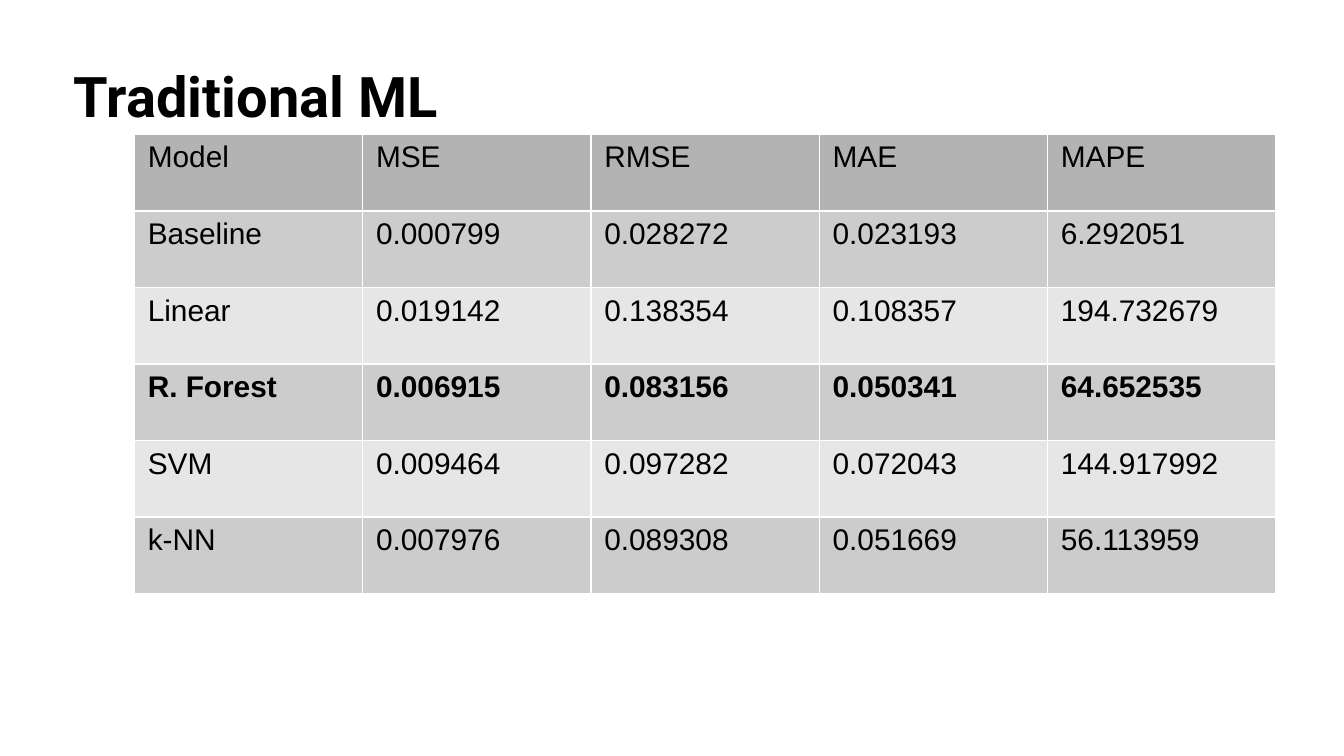
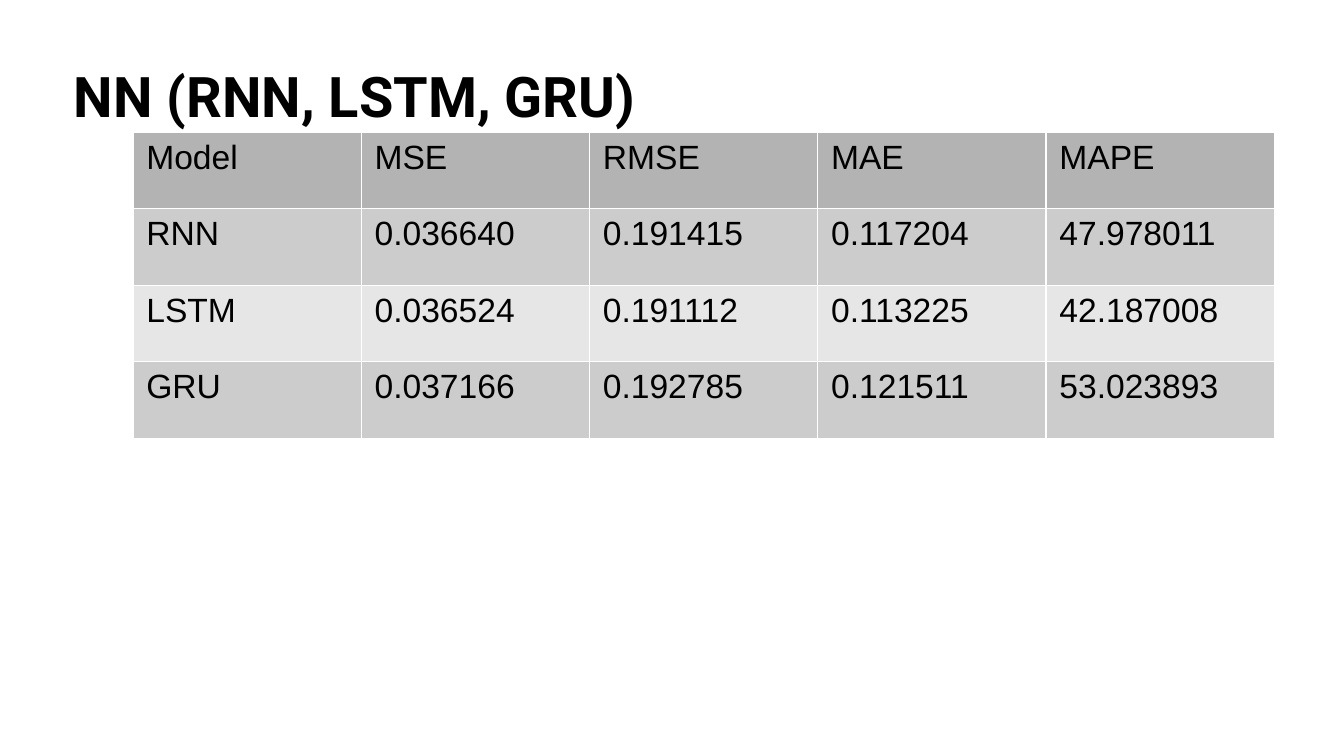
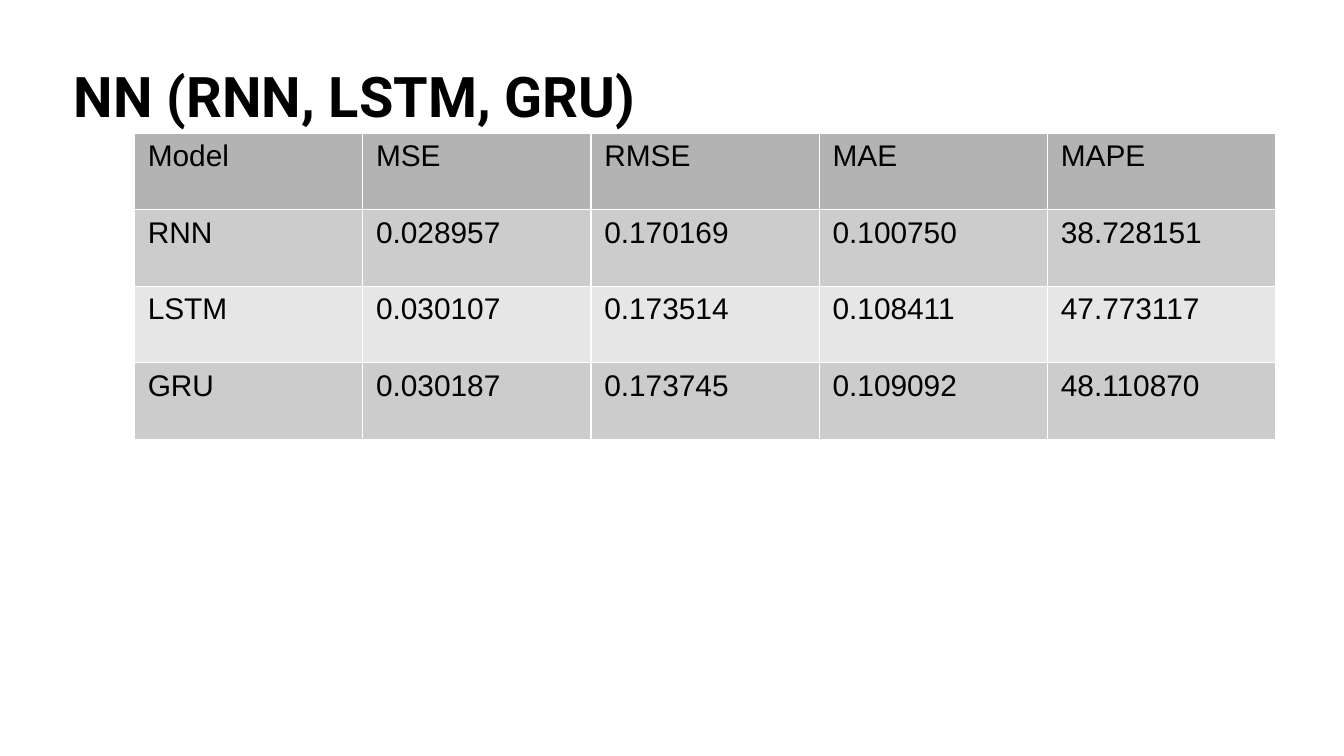
"""Build three slides of model error tables."""
from pptx import Presentation
from pptx.dml.color import RGBColor
from pptx.enum.text import MSO_ANCHOR
from pptx.oxml import parse_xml
from pptx.oxml.ns import nsdecls
from pptx.util import Pt

TOP = MSO_ANCHOR.TOP
BLACK, WHITE = "000000", "FFFFFF"
HEAD, BANDS = "B3B3B3", ("CCCCCC", "E6E6E6")
COL, ROW, EDGE = 122.3, 41, 0.75
BEST = "R. Forest"
FIELDS = ("Model", "MSE", "RMSE", "MAE", "MAPE")

SLIDES = [
    {"title": "Traditional ML", "left": 72, "top": 72, "size": 16, "rows": [
        ("Baseline", "0.000799", "0.028272", "0.023193", "6.292051"),
        ("Linear", "0.019142", "0.138354", "0.108357", "194.732679"),
        ("R. Forest", "0.006915", "0.083156", "0.050341", "64.652535"),
        ("SVM", "0.009464", "0.097282", "0.072043", "144.917992"),
        ("k-NN", "0.007976", "0.089308", "0.051669", "56.113959"),
    ]},
    {"title": "NN (RNN, LSTM, GRU)", "left": 71.2, "top": 70.8, "size": 18, "rows": [
        ("RNN", "0.036640", "0.191415", "0.117204", "47.978011"),
        ("LSTM", "0.036524", "0.191112", "0.113225", "42.187008"),
        ("GRU", "0.037166", "0.192785", "0.121511", "53.023893"),
    ]},
    {"title": "NN (RNN, LSTM, GRU)", "left": 72, "top": 71.4, "size": 16, "rows": [
        ("RNN", "0.028957", "0.170169", "0.100750", "38.728151"),
        ("LSTM", "0.030107", "0.173514", "0.108411", "47.773117"),
        ("GRU", "0.030187", "0.173745", "0.109092", "48.110870"),
    ]},
]


def color(code):
    return RGBColor.from_string(code)


def write(frame, text, face, size, bold):
    frame.text = text
    font = frame.paragraphs[0].runs[0].font
    font.name, font.size, font.bold = face, Pt(size), bold
    font.color.rgb = color(BLACK)


def add_title(slide, text):
    box = slide.shapes.add_textbox(Pt(39.6), Pt(25.9), Pt(671), Pt(86.4))
    frame = box.text_frame
    frame.word_wrap = True
    frame.vertical_anchor = TOP
    frame.margin_left = frame.margin_right = 0
    frame.margin_top = frame.margin_bottom = Pt(7.2)
    write(frame, text, "Roboto", 30, True)


def add_edges(cell):
    props = cell._tc.get_or_add_tcPr()
    for side in "LRTB":
        props.append(parse_xml(
            f'<a:ln{side} {nsdecls("a")} w="{Pt(EDGE)}"><a:solidFill>'
            f'<a:srgbClr val="{WHITE}"/></a:solidFill></a:ln{side}>'))


def add_scores(slide, left, top, size, rows):
    rows = [FIELDS, *rows]
    table = slide.shapes.add_table(
        len(rows), len(FIELDS), Pt(left), Pt(top),
        Pt(COL * len(FIELDS)), Pt(ROW * len(rows))).table
    for r, row in enumerate(rows):
        fill = BANDS[(r - 1) % 2] if r else HEAD
        for c, text in enumerate(row):
            cell = table.cell(r, c)
            write(cell.text_frame, text, "Arial", size, row[0] == BEST)
            add_edges(cell)
            cell.fill.solid()
            cell.fill.fore_color.rgb = color(fill)


def main():
    deck = Presentation()
    deck.slide_width, deck.slide_height = Pt(720), Pt(405)
    for page in SLIDES:
        slide = deck.slides.add_slide(deck.slide_layouts[6])
        add_title(slide, page["title"])
        add_scores(slide, page["left"], page["top"], page["size"], page["rows"])
    deck.save("out.pptx")


if __name__ == "__main__":
    main()
